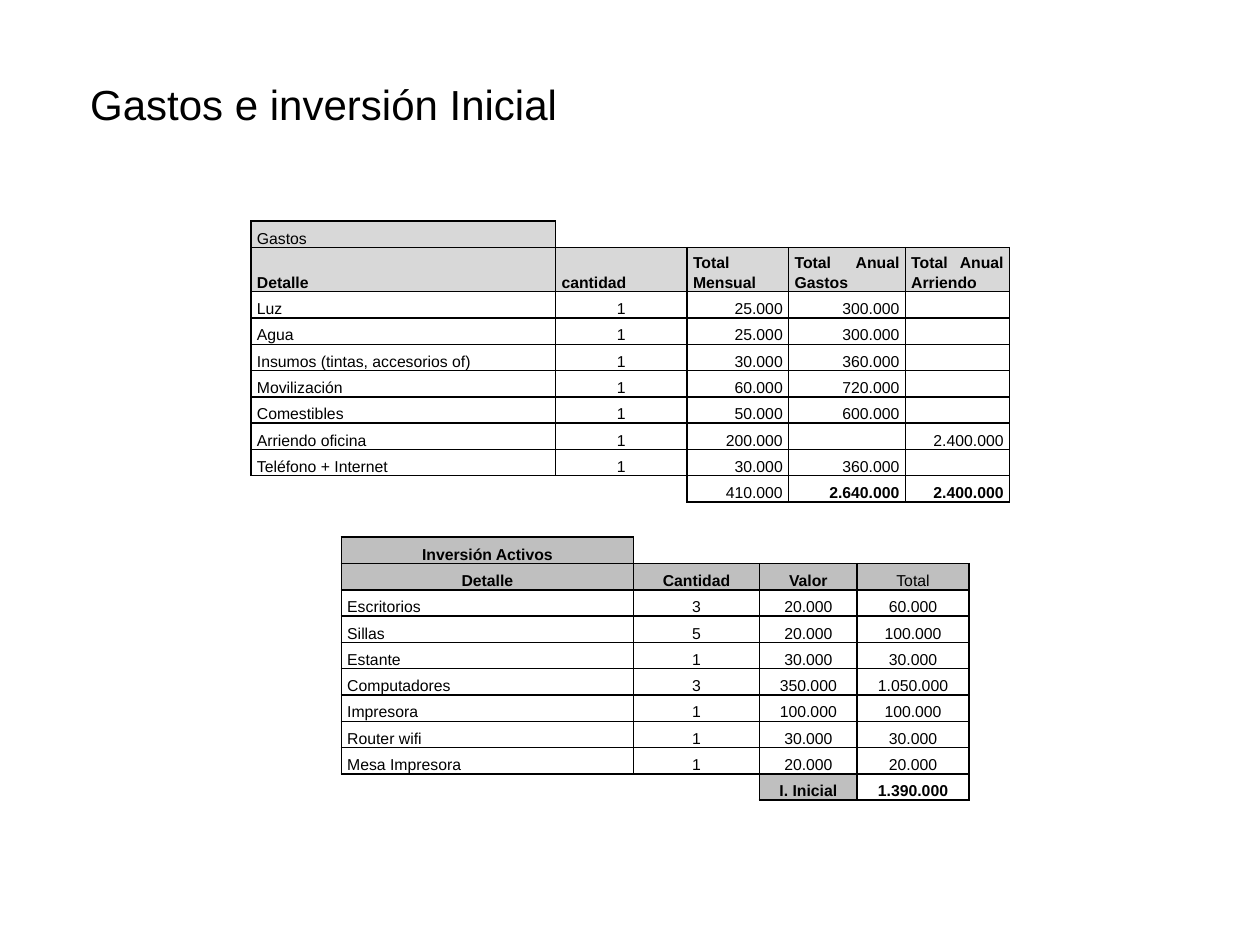
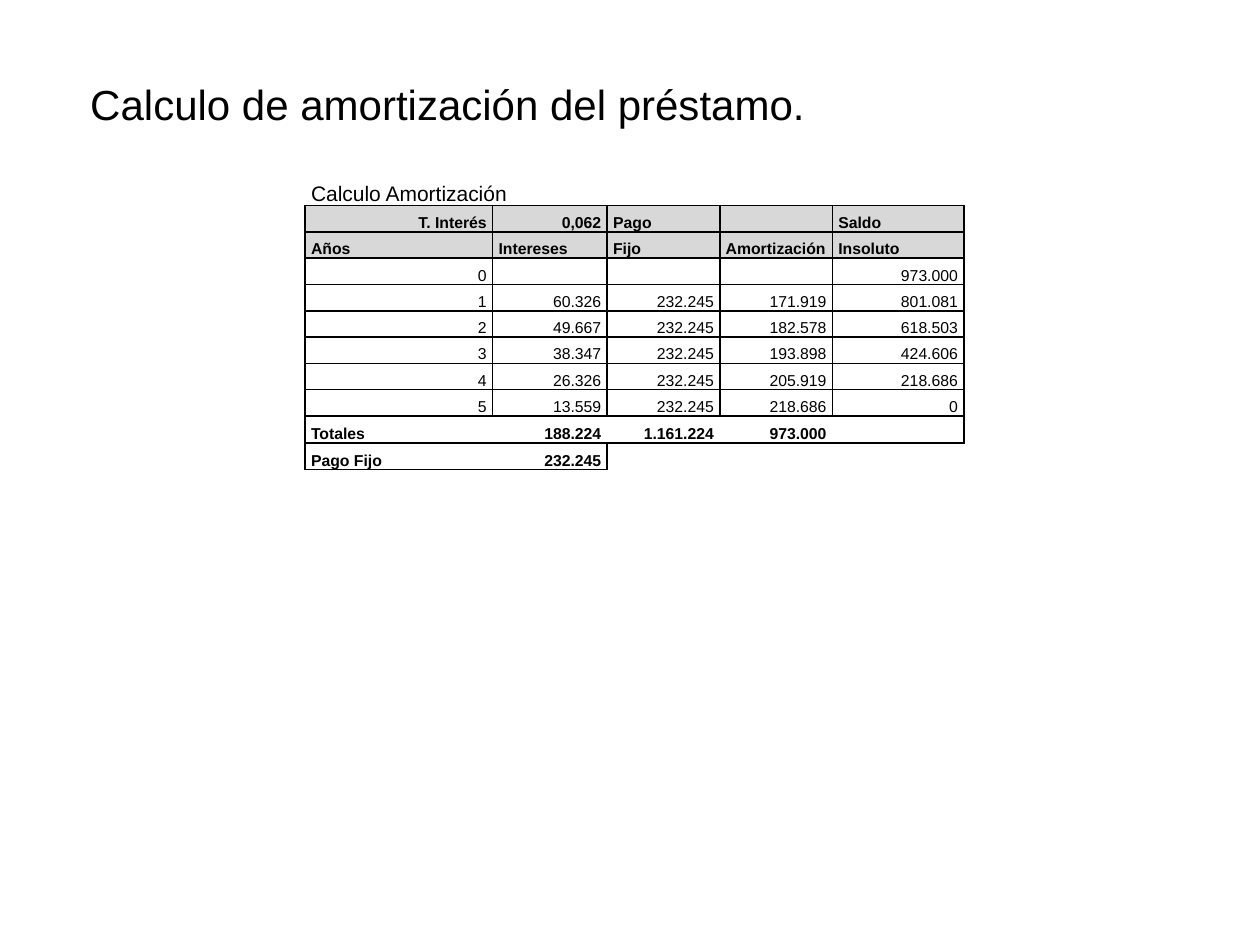
from dataclasses import dataclass
from lxml import etree
from pptx import Presentation
from pptx import util as u
from pptx.dml.color import RGBColor
from pptx.enum import text
from pptx.oxml import ns


@dataclass(frozen=True)
class Theme:
    font: str = "Arial"
    ink: str = "000000"
    light: str = "D8D8D8"
    mid: str = "BFBFBF"
    title: int = 24
    caption: int = 12
    body: int = 9
    row: float = 0.53
    pad: float = 0.12


th = Theme()
NO_STYLE = "{2D5ABB26-0587-4C30-8999-92F81FD0307C}"
ALIGN = {"j": text.PP_ALIGN.JUSTIFY, "c": text.PP_ALIGN.CENTER, "r": text.PP_ALIGN.RIGHT}


def add_text(p, words, size, bold=False):
    r = p.add_run()
    r.text = words
    r.font.color.rgb = RGBColor.from_string(th.ink)
    for name, value in {"name": th.font, "size": u.Pt(size), "bold": bold}.items():
        setattr(r.font, name, value)


def set_edge(cell, side, shown):
    ln = etree.SubElement(cell._tc.get_or_add_tcPr(), ns.qn("a:ln" + side), w=str(u.Pt(1)))
    if shown:
        fill = etree.SubElement(ln, ns.qn("a:solidFill"))
        etree.SubElement(fill, ns.qn("a:srgbClr"), val=th.ink)
    else:
        etree.SubElement(ln, ns.qn("a:noFill"))


# Each row is a code per cell and the words of the cells, split by "|".
# j, c, r: alignment, capital when bold; _: boxed and empty; .: open;
# t: open caption that spans two cells
gastos = {
    "at": (5.06, 4.46), "cols": (6.14, 2.65, 2.05, 2.35, 2.1), "heights": {1: 0.89},
    "shade": th.light, "shaded": {(0, 0)} | {(1, c) for c in range(5)}, "joined": (),
    "rows": [
        ("j....", "Gastos||||"),
        ("JJJJJ", "Detalle|cantidad|Total Mensual|Total Anual Gastos|Total Anual Arriendo"),
        ("jcrr_", "Luz|1|25.000|300.000|"),
        ("jcrr_", "Agua|1|25.000|300.000|"),
        ("jcrr_", "Insumos (tintas, accesorios of)|1|30.000|360.000|"),
        ("jcrr_", "Movilización|1|60.000|720.000|"),
        ("jcrr_", "Comestibles|1|50.000|600.000|"),
        ("jcr_r", "Arriendo oficina|1|200.000||2.400.000"),
        ("jcrr_", "Teléfono + Internet|1|30.000|360.000|"),
        ("..rRR", "||410.000|2.640.000|2.400.000"),
    ],
}
activos = {
    "at": (6.25, 10.83), "cols": (0.63, 5.89, 2.54, 1.97, 2.25), "heights": {},
    "shade": th.mid, "shaded": {(0, 1), (9, 3)} | {(1, c) for c in range(1, 5)}, "joined": (),
    "rows": [
        (".C...", "|Inversión Activos|||"),
        (".CCCc", "|Detalle|Cantidad|Valor|Total"),
        (".jccc", "|Escritorios|3|20.000|60.000"),
        (".jccc", "|Sillas|5|20.000|100.000"),
        (".jccc", "|Estante|1|30.000|30.000"),
        (".jccc", "|Computadores|3|350.000|1.050.000"),
        (".jccc", "|Impresora|1|100.000|100.000"),
        (".jccc", "|Router wifi|1|30.000|30.000"),
        (".jccc", "|Mesa Impresora|1|20.000|20.000"),
        ("...CC", "|||I. Inicial|1.390.000"),
    ],
}
# Rows listed as joined have no lines between their boxed cells
prestamo = {
    "at": (6.15, 3.56), "cols": (3.78, 2.31, 2.27, 2.27, 2.65), "heights": {0: 0.57, 9: 0.55},
    "shade": th.light, "shaded": {(r, c) for r in (1, 2) for c in range(5)}, "joined": (9, 10),
    "rows": [
        ("t....", "Calculo Amortización||||"),
        ("RRJ_J", "T. Interés|0,062|Pago||Saldo"),
        ("JJJJJ", "Años|Intereses|Fijo|Amortización|Insoluto"),
        ("r___r", "0||||973.000"),
        ("rrrrr", "1|60.326|232.245|171.919|801.081"),
        ("rrrrr", "2|49.667|232.245|182.578|618.503"),
        ("rrrrr", "3|38.347|232.245|193.898|424.606"),
        ("rrrrr", "4|26.326|232.245|205.919|218.686"),
        ("rrrrr", "5|13.559|232.245|218.686|0"),
        ("JRRR_", "Totales|188.224|1.161.224|973.000|"),
        ("JR...", "Pago Fijo|232.245|||"),
    ],
}
slides = [
    ("Gastos e inversión Inicial", [gastos, activos]),
    ("Calculo de amortización del préstamo.", [prestamo]),
]

prs = Presentation()
prs.slide_width, prs.slide_height = u.Cm(25.4), u.Cm(19.05)

for title, tables in slides:
    s = prs.slides.add_slide(prs.slide_layouts[6])

    for spec_table in tables:
        rows, cols = spec_table["rows"], spec_table["cols"]
        heights = [spec_table["heights"].get(i, th.row) for i in range(len(rows))]
        x, y = spec_table["at"]
        table = s.shapes.add_table(len(rows), len(cols), u.Cm(x), u.Cm(y),
                                   u.Cm(sum(cols)), u.Cm(sum(heights))).table
        table.first_row = table.horz_banding = False
        table._tbl.tblPr.find(ns.qn("a:tableStyleId")).text = NO_STYLE
        for column, width in zip(table.columns, cols):
            column.width = u.Cm(width)
        for row, height in zip(table.rows, heights):
            row.height = u.Cm(height)

        boxed = {(i, j) for i, (codes, _) in enumerate(rows)
                 for j, code in enumerate(codes) if code not in ".t"}
        for i, (codes, line) in enumerate(rows):
            for j, (code, words) in enumerate(zip(codes, line.split("|"))):
                cell = table.cell(i, j)
                if code == "t":
                    cell.merge(table.cell(i, j + 1))
                for name, value in {"margin_left": u.Cm(th.pad), "margin_right": u.Cm(th.pad),
                                    "margin_top": 0, "margin_bottom": 0,
                                    "vertical_anchor": text.MSO_ANCHOR.BOTTOM}.items():
                    setattr(cell, name, value)

                # An edge shows when a cell on either side of it is boxed
                for side, di, dj in (("L", 0, -1), ("R", 0, 1), ("T", -1, 0), ("B", 1, 0)):
                    pair = {(i, j), (i + di, j + dj)}
                    inner = dj and i in spec_table["joined"] and pair <= boxed
                    set_edge(cell, side, bool(pair & boxed) and not inner)
                if (i, j) in spec_table["shaded"]:
                    cell.fill.solid()
                    cell.fill.fore_color.rgb = RGBColor.from_string(spec_table["shade"])
                else:
                    cell.fill.background()

                p = cell.text_frame.paragraphs[0]
                p.alignment = ALIGN.get(code.lower(), text.PP_ALIGN.JUSTIFY)
                p.line_spacing = 1.15
                if words:
                    add_text(p, words, th.caption if code == "t" else th.body, code.isupper())
                else:
                    etree.SubElement(p._p, ns.qn("a:endParaRPr"), sz=str(th.body * 100))

    # Title
    tf = s.shapes.add_textbox(u.Cm(1.57), u.Cm(1.45), u.Cm(22.91), u.Cm(1.27)).text_frame
    tf.word_wrap = True
    tf.auto_size = text.MSO_AUTO_SIZE.SHAPE_TO_FIT_TEXT
    add_text(tf.paragraphs[0], title, th.title)

prs.save("out.pptx")
